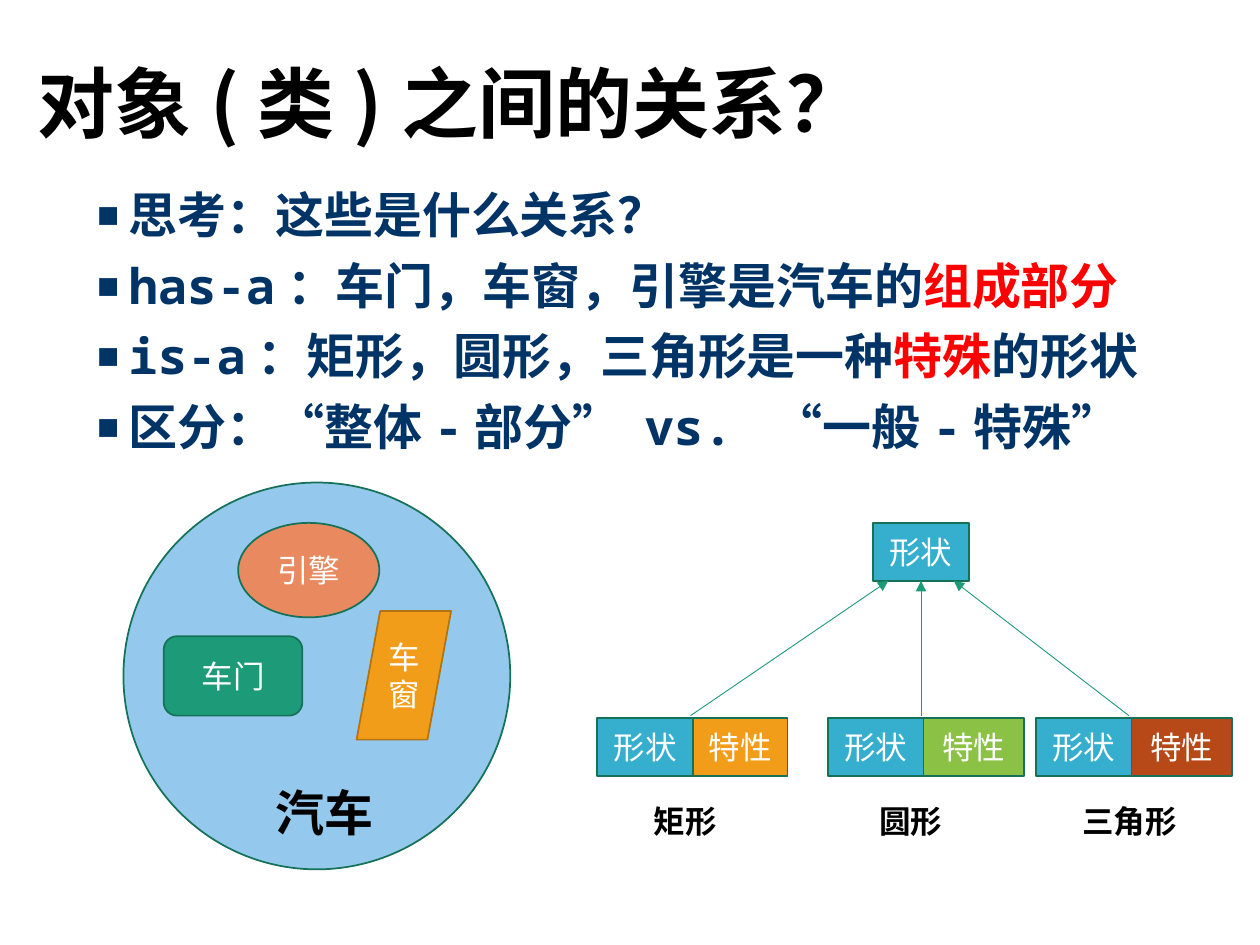
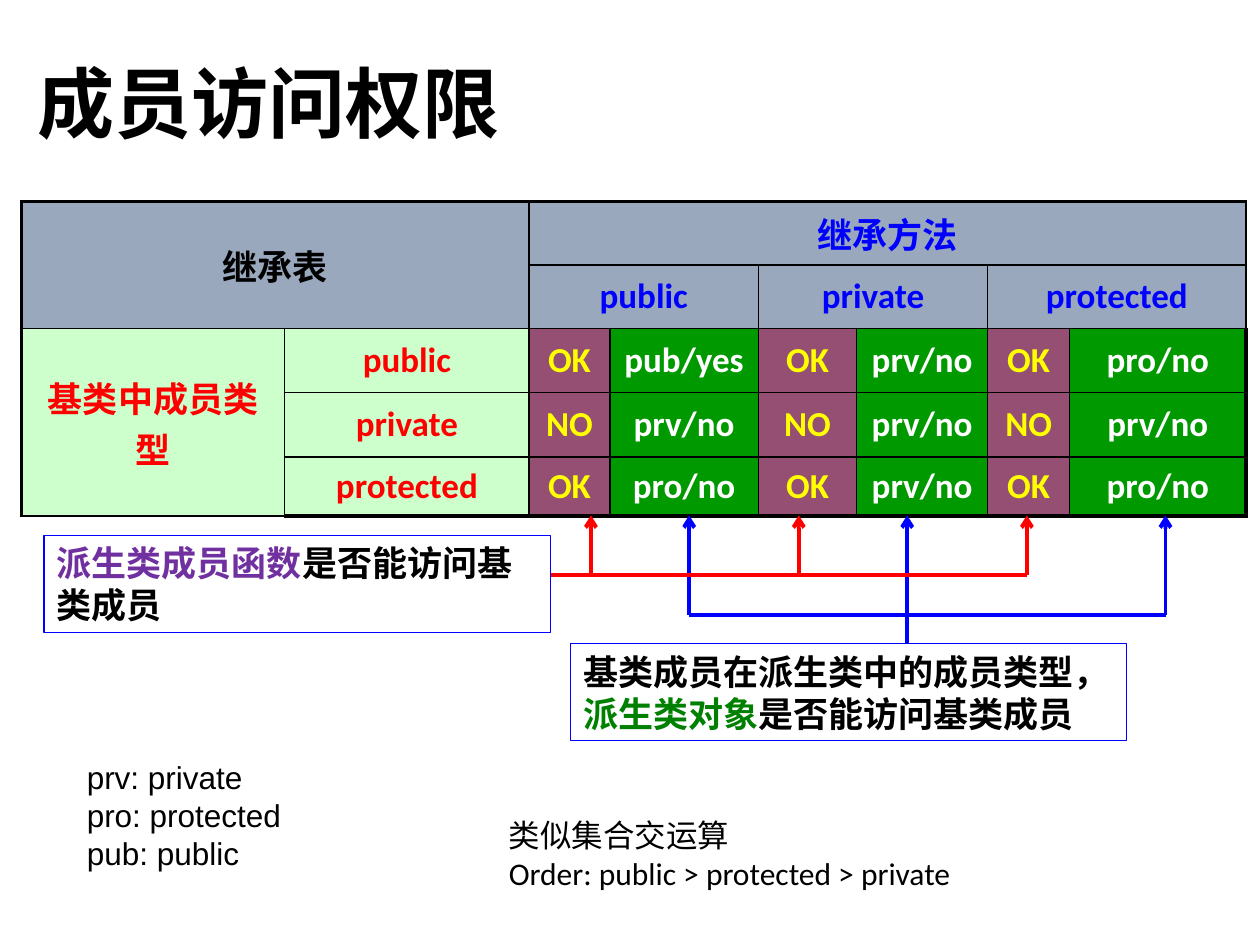
from lxml import etree
from pptx import Presentation
from pptx.dml.color import RGBColor
from pptx.enum.shapes import MSO_CONNECTOR, MSO_SHAPE
from pptx.enum.text import MSO_ANCHOR, MSO_AUTO_SIZE, PP_ALIGN
from pptx.oxml.ns import qn
from pptx.util import Inches, Pt

LEFT, CENTER = PP_ALIGN.LEFT, PP_ALIGN.CENTER
TOP, MIDDLE = MSO_ANCHOR.TOP, MSO_ANCHOR.MIDDLE
RECT, OVAL = MSO_SHAPE.RECTANGLE, MSO_SHAPE.OVAL
ROUND, SLANT = MSO_SHAPE.ROUNDED_RECTANGLE, MSO_SHAPE.PARALLELOGRAM
STRAIGHT = MSO_CONNECTOR.STRAIGHT
FIXED = MSO_AUTO_SIZE.NONE

COLS, ROWS = 100, 75  # grid over the slide
WIDE, HIGH = Inches(10), Inches(7.5)
SANS, MONO, HAN, ARIAL = "Calibri", "Noto Sans Mono", "Noto Sans CJK SC", "Arial"
BLACK, WHITE, RED, BLUE = "000000", "FFFFFF", "FF0000", "0000FF"
NAVY, YELLOW, PURPLE, LEAF = "003366", "FFFF00", "7030A0", "008000"
TEAL, PINE, SKY, CYAN = "1D9A78", "157259", "94C8ED", "36AFCE"
ORANGE, BROWN, CORAL, LIME, RUST = "F19D19", "B27412", "E98960", "8BC145", "B74919"
SLATE, MINT, PLUM, GREEN = "99A8BD", "CCFFCC", "954F72", "009900"


def color(code):
    return RGBColor.from_string(code)


def grid(x, y):
    return round(x * WIDE / COLS), round(y * HIGH / ROWS)


def place(box):
    """Turn a grid box into left, top, width and height."""
    return *grid(*box[:2]), *grid(*box[2:])


def within(box, part):
    """Shift a part by the corner of its box."""
    return box[0] + part[0], box[1] + part[1], *part[2:]


def write(frame, paras, size, font=SANS, ink=BLACK, bold=False,
          align=LEFT, anchor=TOP, wrap=True):
    """Fill a frame; a paragraph is a string or a list of (text, colour) runs."""
    frame.word_wrap = wrap
    frame.vertical_anchor = anchor
    for i, item in enumerate(paras):
        para = frame.paragraphs[0] if i == 0 else frame.add_paragraph()
        para.alignment = align
        para.font.size, para.font.name, para.font.bold = Pt(size), font, bold
        para.font.color.rgb = color(ink)
        for text, tint in [(item, ink)] if isinstance(item, str) else item:
            run = para.add_run()
            run.text = text
            run.font.color.rgb = color(tint)


def label(shapes, box, paras, size=18, **look):
    write(shapes.add_textbox(*place(box)).text_frame, paras, size, **look)


def block(shapes, kind, box, fill, edge=PINE, width=1, text=None):
    shape = shapes.add_shape(kind, *place(box))
    shape.shadow.inherit = False
    shape.fill.solid()
    shape.fill.fore_color.rgb = color(fill)
    shape.line.color.rgb = color(edge)
    shape.line.width = Pt(width)
    if text:
        write(shape.text_frame, [text], 18, ink=WHITE, align=CENTER, anchor=MIDDLE)
    return shape


def link(shapes, start, end, ink, width, tip=None):
    line = shapes.add_connector(STRAIGHT, *grid(*start), *grid(*end))
    line.line.color.rgb = color(ink)
    line.line.width = Pt(width)
    if tip:
        etree.SubElement(line.line._get_or_add_ln(), qn("a:tailEnd"), type=tip)
    etree.SubElement(line._element.spPr, qn("a:effectLst"))


def start(deck, layout, title):
    slide = deck.slides.add_slide(deck.slide_layouts[layout])
    head = slide.shapes.title
    head.left, head.top, head.width, head.height = place((2, 1.3, 86.2, 14.5))
    write(head.text_frame, [title], 44, HAN, bold=True, anchor=MIDDLE)
    head.text_frame.auto_size = FIXED
    head.text_frame.paragraphs[0].line_spacing = 0.9
    return slide


def points(body, box, paras):
    body.left, body.top, body.width, body.height = place(box)
    write(body.text_frame, paras, 28, MONO, NAVY, True)
    body.text_frame.auto_size = FIXED
    for para in body.text_frame.paragraphs:
        para.line_spacing = 0.9
        para.space_before = Pt(10)
        props = para._p.get_or_add_pPr()
        props.set("marL", str(Inches(0.25)))
        props.set("indent", str(-Inches(0.25)))
        marks = [etree.Element(qn("a:buSzPct"), val="75000"),
                 etree.Element(qn("a:buChar"), char="■")]
        spot = props.index(props.find(qn("a:defRPr")))
        props[spot:spot] = marks


def car(slide, box):
    shapes = slide.shapes.add_group_shape().shapes
    block(shapes, OVAL, box, SKY)
    label(shapes, within(box, (11.1, 23.3, 15, 5.7)), ["汽车"], 28, bold=True)
    for kind, part, fill, edge, text in (
            (ROUND, (3.2, 12.2, 11, 6.3), TEAL, PINE, "车门"),
            (SLANT, (18.5, 10.2, 7.5, 10.2), ORANGE, BROWN, "车窗"),
            (OVAL, (9.1, 3.2, 11.2, 7.5), CORAL, PINE, "引擎")):
        block(shapes, kind, within(box, part), fill, edge, text=text)


def tree(slide, box):
    shapes = slide.shapes.add_group_shape().shapes
    base, tall, low, mid = 7.6, 4.6, 15.5, 25.7
    block(shapes, RECT, within(box, (mid - base / 2, 0, base, tall)), CYAN, text="形状")
    kinds = ((0, 7.5, ORANGE, "矩形", 3.5, 7.9), (18.3, 8, LIME, "圆形", 21.4, 7.9),
             (34.8, 8, RUST, "三角形", 37.5, 9.8))
    for i, (x, extra, fill, name, left, width) in enumerate(kinds):
        seam = x + base
        block(shapes, RECT, within(box, (seam, low, extra, tall)), fill, text="特性")
        block(shapes, RECT, within(box, (x, low, base, tall)), CYAN, text="形状")
        label(shapes, within(box, (left, 21.7, width, 4)), [name], bold=True)
        link(shapes, within(box, (seam - 0.2, low - 0.2)),
             within(box, (mid + 2.6 * (i - 1), tall)), TEAL, 0.5, "triangle")


def border(cell, widths):
    props = cell._tc.get_or_add_tcPr()
    for side, width in zip("LRTB", widths):
        line = etree.SubElement(props, qn(f"a:ln{side}"), w=str(Pt(width)))
        fill = etree.SubElement(line, qn("a:solidFill"))
        etree.SubElement(fill, qn("a:srgbClr"), val=BLACK)


def style(row, col):
    """Give the fill and the text colour of a cell."""
    if row < 2:
        return SLATE, BLACK if col < 2 else BLUE
    if col < 2:
        return MINT, RED
    return (GREEN, WHITE) if col % 2 else (PLUM, YELLOW)


def rights(slide, box):
    data = (("继承表", "", "继承方法", "", "", "", "", ""),
            ("", "", "public", "", "private", "", "protected", ""),
            ("基类中成员类型", "public", "OK", "pub/yes", "OK", "prv/no", "OK", "pro/no"),
            ("", "private", "NO", "prv/no", "NO", "prv/no", "NO", "prv/no"),
            ("", "protected", "OK", "pro/no", "OK", "prv/no", "OK", "pro/no"))
    wide = (20.9, 19.4, 6.4, 11.8, 7.8, 10.4, 6.5, 14)
    high = (4.7, 4.7, 5.1, 5.1, 4.7)
    table = slide.shapes.add_table(len(high), len(wide), *place(box)).table
    for col, width in zip(table.columns, wide):
        col.width = grid(width, 0)[0]
    for row, height in zip(table.rows, high):
        row.height = grid(0, height)[1]
    for r, texts in enumerate(data):
        for c, text in enumerate(texts):
            cell = table.cell(r, c)
            edges = c == 0, c == len(wide) - 1, r == 0, r == len(high) - 1
            border(cell, [2.25 if edge else 1 for edge in edges])
            fill, ink = style(r, c)
            cell.fill.solid()
            cell.fill.fore_color.rgb = color(fill)
            cell.vertical_anchor = MIDDLE
            if text:
                write(cell.text_frame, [text], 20, ink=ink, bold=True,
                      align=CENTER, anchor=MIDDLE)
                cell.text_frame.paragraphs[0].space_before = Pt(4)
    spans = [(0, 0, 1, 1), (0, 2, 0, 7), (2, 0, 4, 0)]
    spans += [(1, c, 1, c + 1) for c in (2, 4, 6)]
    for top, left, end, right in spans:
        table.cell(top, left).merge(table.cell(end, right))


def note(slide, box, paras, font, wrap):
    shape = block(slide.shapes, RECT, box, WHITE, BLUE, 0.75)
    write(shape.text_frame, paras, 20, font, bold=True, wrap=wrap)


def fork(slide, stems, top, bar, ink, begin):
    """Draw arrows up from a bar that starts at the given column."""
    for x, foot in stems:
        link(slide.shapes, (x, foot), (x, top), ink, 2.25, "arrow")
    link(slide.shapes, (begin, bar), (stems[-1][0], bar), ink, 2.25)


def relations(deck):
    slide = start(deck, 1, "对象(类)之间的关系？")
    points(slide.placeholders[1], (6.7, 14.7, 88, 56.7), [
        "思考：这些是什么关系？",
        [("has-a：车门，车窗，引擎是汽车的", NAVY), ("组成部分", RED)],
        [("is-a：矩形，圆形，三角形是一种", NAVY), ("特殊", RED), ("的形状", NAVY)],
        "区分：“整体-部分” vs. “一般-特殊”"])
    car(slide, (9.8, 38.3, 30.7, 30.7))
    tree(slide, (47.4, 41.5, 50.4, 25.7))


def access(deck):
    slide = start(deck, 5, "成员访问权限")
    rights(slide, (1.7, 16, 97.2, 24.3))
    note(slide, (3.5, 42.5, 40.2, 7.7),
         [[("派生类成员函数", PURPLE), ("是否能访问基类成员", BLACK)]], ARIAL, True)
    fork(slide, [(54.7, 48.8), (72, 51.1), (92.5, 48.8)], 40.9, 48.8, BLUE, 54.7)
    note(slide, (45.3, 51.1, 44.1, 7.7),
         ["基类成员在派生类中的成员类型，",
          [("派生类对象", LEAF), ("是否能访问基类成员", BLACK)]], SANS, False)
    fork(slide, [(x, 45.6) for x in (46.9, 63.4, 81.5)], 40.9, 45.6, RED, 43.7)
    label(slide.shapes, (5.9, 59.7, 25.2, 10.1),
          ["prv: private", "pro: protected", "pub: public"], font=ARIAL)
    label(slide.shapes, (39.4, 64.3, 50, 7.1),
          ["类似集合交运算", "Order: public > protected > private"])


def main():
    deck = Presentation()
    deck.slide_width, deck.slide_height = WIDE, HIGH
    relations(deck)
    access(deck)
    deck.save("out.pptx")


if __name__ == "__main__":
    main()
